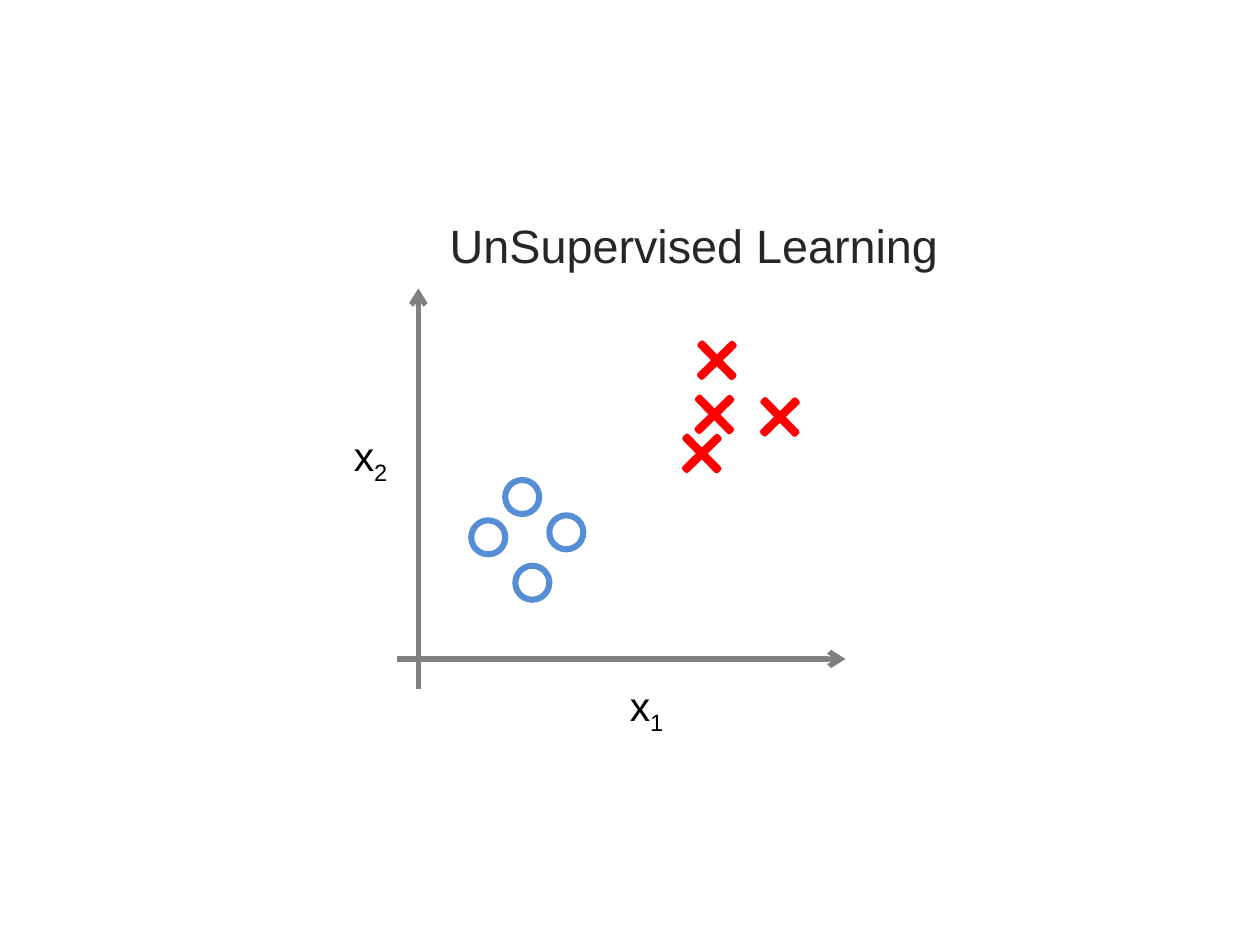
from dataclasses import dataclass

from lxml.etree import SubElement
from pptx import Presentation
from pptx.dml.color import RGBColor
from pptx.enum.shapes import MSO_CONNECTOR as Connector, MSO_SHAPE as Preset
from pptx.enum.text import MSO_AUTO_SIZE as AutoSize
from pptx.oxml.ns import qn
from pptx.shapes.autoshape import Shape
from pptx.slide import Slide
from pptx.util import Inches, Pt

COLUMNS, ROWS = 100, 75
SLIDE_WIDTH, SLIDE_HEIGHT = Inches(10), Inches(7.5)


@dataclass(frozen=True)
class Theme:
    font: str = "Arial"
    title_size: float = 26.7
    label_size: float = 23.3
    title_color: str = "262626"
    label_color: str = "000000"
    circle_color: str = "558ED5"
    cross_color: str = "FF0000"
    cross_fill: str = "000000"
    axis_color: str = "808080"
    circle_line: float = 3.5
    cross_line: float = 3
    axis_line: float = 3


@dataclass(frozen=True)
class Point:
    column: float
    row: float


@dataclass(frozen=True)
class Axis:
    start: Point
    end: Point


@dataclass(frozen=True)
class Label:
    corner: Point
    columns: float
    rows: float
    text: str
    size: float
    color: str
    subscript: str = ""


THEME = Theme()
CIRCLE_SPAN = 2.7
CROSS_SPAN = 3.6
CIRCLES = [Point(37.4, 41.3), Point(43.6, 40.9), Point(40.9, 44.9), Point(40.1, 38.1)]
CROSSES = [Point(53.9, 34.2), Point(55.1, 26.8), Point(60.1, 31.3), Point(54.9, 31.1)]
LABELS = [
    Label(Point(49, 53.5), 4.9, 4.9, "x", THEME.label_size, THEME.label_color, "1"),
    Label(Point(27.1, 33.7), 4.9, 4.9, "x", THEME.label_size, THEME.label_color, "2"),
    Label(Point(34.7, 16.7), 41.2, 5.5, "UnSupervised Learning", THEME.title_size, THEME.title_color),
]
AXES = [
    Axis(Point(33.2, 54.7), Point(33.2, 22.9)),
    Axis(Point(31.5, 52.3), Point(67.1, 52.3)),
]


def across(columns: float) -> int:
    return round(SLIDE_WIDTH * columns / COLUMNS)


def down(rows: float) -> int:
    return round(SLIDE_HEIGHT * rows / ROWS)


def add_marker(slide: Slide, preset: Preset, corner: Point, span: float, color: str, width: float) -> Shape:
    shape = slide.shapes.add_shape(
        preset, across(corner.column), down(corner.row), across(span), down(span)
    )
    shape.shadow.inherit = False
    shape.fill.background()
    shape.line.color.rgb = RGBColor.from_string(color)
    shape.line.width = Pt(width)
    return shape


def add_circle(slide: Slide, corner: Point) -> None:
    add_marker(slide, Preset.OVAL, corner, CIRCLE_SPAN, THEME.circle_color, THEME.circle_line)


def add_cross(slide: Slide, corner: Point) -> None:
    shape = add_marker(slide, Preset.CROSS, corner, CROSS_SPAN, THEME.cross_color, THEME.cross_line)
    shape.adjustments[0] = 0.466
    shape.rotation = 45.6
    shape.fill.solid()
    shape.fill.fore_color.rgb = RGBColor.from_string(THEME.cross_fill)


def add_label(slide: Slide, label: Label) -> None:
    shape = slide.shapes.add_textbox(
        across(label.corner.column), down(label.corner.row), across(label.columns), down(label.rows)
    )
    frame = shape.text_frame
    frame.word_wrap = False
    frame.auto_size = AutoSize.SHAPE_TO_FIT_TEXT
    paragraph = frame.paragraphs[0]
    paragraph.font.name = THEME.font
    paragraph.font.size = Pt(label.size)
    paragraph.font.color.rgb = RGBColor.from_string(label.color)
    paragraph.add_run().text = label.text
    if label.subscript:
        run = paragraph.add_run()
        run.text = label.subscript
        run._r.get_or_add_rPr().set("baseline", "-25000")


def add_axis(slide: Slide, axis: Axis) -> None:
    connector = slide.shapes.add_connector(
        Connector.STRAIGHT,
        across(axis.start.column), down(axis.start.row),
        across(axis.end.column), down(axis.end.row),
    )
    connector.line.color.rgb = RGBColor.from_string(THEME.axis_color)
    connector.line.width = Pt(THEME.axis_line)
    SubElement(connector.line._get_or_add_ln(), qn("a:tailEnd"), type="arrow")
    SubElement(connector._element.spPr, qn("a:effectLst"))


def main() -> None:
    presentation = Presentation()
    presentation.slide_width, presentation.slide_height = SLIDE_WIDTH, SLIDE_HEIGHT
    slide = presentation.slides.add_slide(presentation.slide_layouts[6])
    for corner in CIRCLES:
        add_circle(slide, corner)
    for corner in CROSSES:
        add_cross(slide, corner)
    for label in LABELS:
        add_label(slide, label)
    for axis in AXES:
        add_axis(slide, axis)
    presentation.save("out.pptx")


if __name__ == "__main__":
    main()
